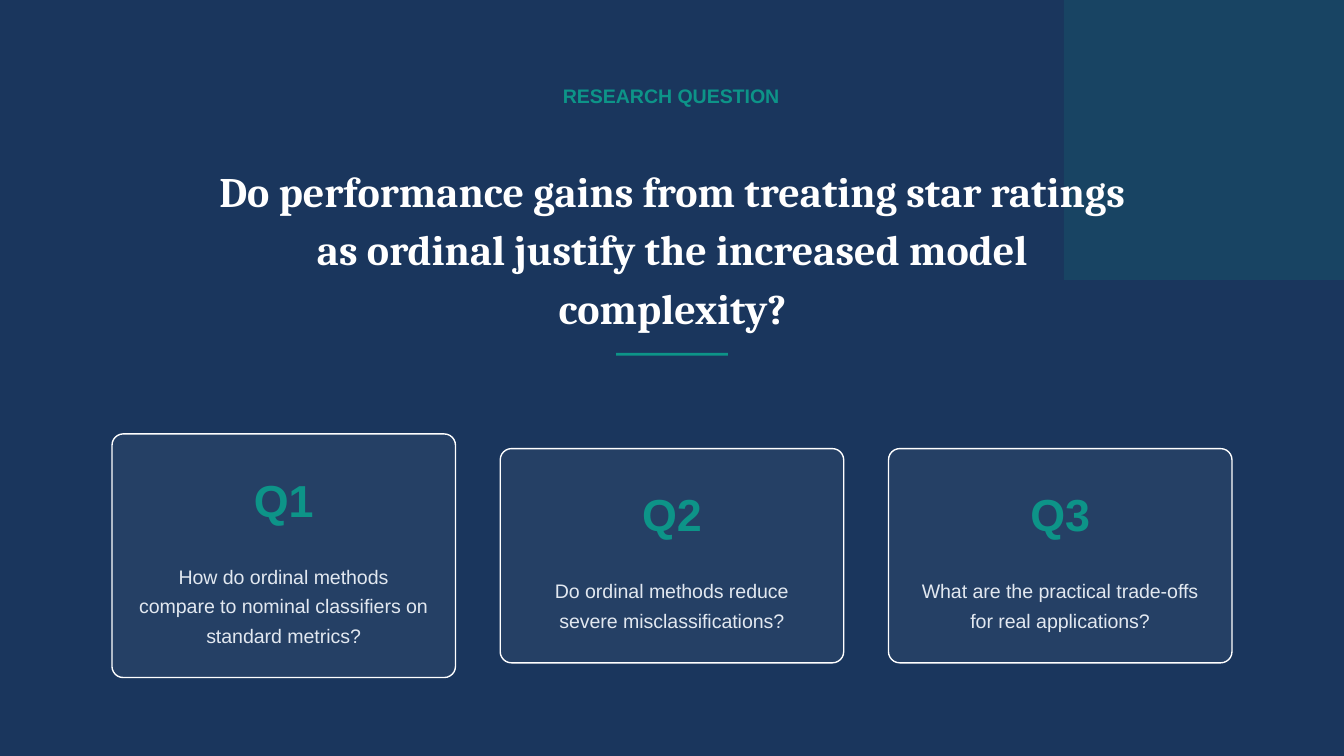
from pptx import Presentation
from pptx.dml.color import RGBColor
from pptx.enum.shapes import MSO_SHAPE as Shape
from pptx.enum.text import MSO_ANCHOR as Anchor, MSO_AUTO_SIZE as AutoSize, PP_ALIGN as Align
from pptx.oxml.ns import qn
from pptx.util import Emu, Pt
from lxml.etree import SubElement

EYEBROW = "RESEARCH QUESTION"
TITLE = ("Do performance gains from treating star ratings as ordinal "
         "justify the increased model complexity?")
# label, question, number of lines it fills
QUESTIONS = [
    ("Q1", "How do ordinal methods compare to nominal classifiers on standard metrics?", 3),
    ("Q2", "Do ordinal methods reduce severe misclassifications?", 2),
    ("Q3", "What are the practical trade-offs for real applications?", 2),
]

COLORS = {"navy": "1A365D", "teal": "0D9488", "white": "FFFFFF", "pale": "E2E8F0"}
STYLES = {
    "eyebrow": dict(name="Arial", size=10.5, bold=True, color="teal", leading=14.7, after=15),
    "title": dict(name="Cambria", size=22.5, bold=True, color="white", leading=31.5, after=30),
    "label": dict(name="Arial", size=24, bold=True, color="teal", leading=33.6, after=6),
    "question": dict(name="Arial", size=10.5, bold=False, color="pale", leading=15.8, after=0),
}

PX = 9525
WIDTH, HEIGHT = 960, 540
MARGIN, GAP, INSET, RADIUS = 80, 32, 19, 8
CARD_CENTER, CARD_BASE, LINE = 397, 111, 21
LABEL_TOP, LABEL_HEIGHT, QUESTION_TOP = 21, 45, 89


def px(*lengths):
    return [Emu(round(length * PX)) for length in lengths]


def rgb(color):
    return RGBColor.from_string(COLORS[color])


def write(holder, text, style):
    look = STYLES[style]
    frame = holder.text_frame
    settings = dict(word_wrap=True, auto_size=AutoSize.NONE, vertical_anchor=Anchor.TOP,
                    margin_left=0, margin_right=0, margin_top=0, margin_bottom=0)
    for key, value in settings.items():
        setattr(frame, key, value)
    paragraph = frame.paragraphs[0]
    spacing = dict(alignment=Align.CENTER, line_spacing=Pt(look["leading"]),
                   space_before=Pt(0), space_after=Pt(look["after"]))
    for key, value in spacing.items():
        setattr(paragraph, key, value)
    run = paragraph.add_run()
    run.text = text
    for key, value in dict(name=look["name"], size=Pt(look["size"]), bold=look["bold"]).items():
        setattr(run.font, key, value)
    run.font.color.rgb = rgb(look["color"])


def add_text(slide, box, text, style):
    write(slide.shapes.add_textbox(*px(*box)), text, style)


def add_block(slide, kind, box, color, opacity=100, outline=None):
    """Add a filled shape; opacity is in percent."""
    block = slide.shapes.add_shape(kind, *px(*box))
    block.shadow.inherit = False
    block.fill.solid()
    block.fill.fore_color.rgb = rgb(color)
    if opacity < 100:
        tint = block.fill._xPr.find(qn("a:solidFill"))[0]
        SubElement(tint, qn("a:alpha")).set("val", str(opacity * 1000))
    if outline:
        block.line.color.rgb = rgb(outline)
        block.line.width = Pt(0.75)
    else:
        block.line.fill.background()
    return block


def add_card(slide, left, width, label, question, lines):
    height = CARD_BASE + LINE * lines
    top = CARD_CENTER - height / 2
    card = add_block(slide, Shape.ROUNDED_RECTANGLE, (left, top, width, height),
                     "white", 5, "white")
    card.adjustments[0] = RADIUS / height
    inner_left, inner_width = left + INSET, width - 2 * INSET
    add_text(slide, (inner_left, top + LABEL_TOP, inner_width, LABEL_HEIGHT), label, "label")
    add_text(slide, (inner_left, top + QUESTION_TOP, inner_width, LINE * lines),
             question, "question")


def main():
    deck = Presentation()
    deck.slide_width, deck.slide_height = px(WIDTH, HEIGHT)
    slide = deck.slides.add_slide(deck.slide_layouts[5])
    slide.background.fill.solid()
    slide.background.fill.fore_color.rgb = rgb("navy")

    title = slide.shapes.title
    title.left, title.top, title.width, title.height = px(153, 112, 655, 84)
    write(title, TITLE, "title")
    corner = add_block(slide, Shape.RECTANGLE, (760, 0, 200, 200), "teal", 15)
    title._element.addprevious(corner._element)  # keep the corner behind the title
    add_text(slide, (383, 57, 193, 19), EYEBROW, "eyebrow")
    add_block(slide, Shape.RECTANGLE, (440, 252, 80, 2), "teal")

    count = len(QUESTIONS)
    card_width = (WIDTH - 2 * MARGIN - (count - 1) * GAP) / count
    for index, (label, question, lines) in enumerate(QUESTIONS):
        left = MARGIN + index * (card_width + GAP)
        add_card(slide, left, card_width, label, question, lines)
    deck.save("out.pptx")


if __name__ == "__main__":
    main()
